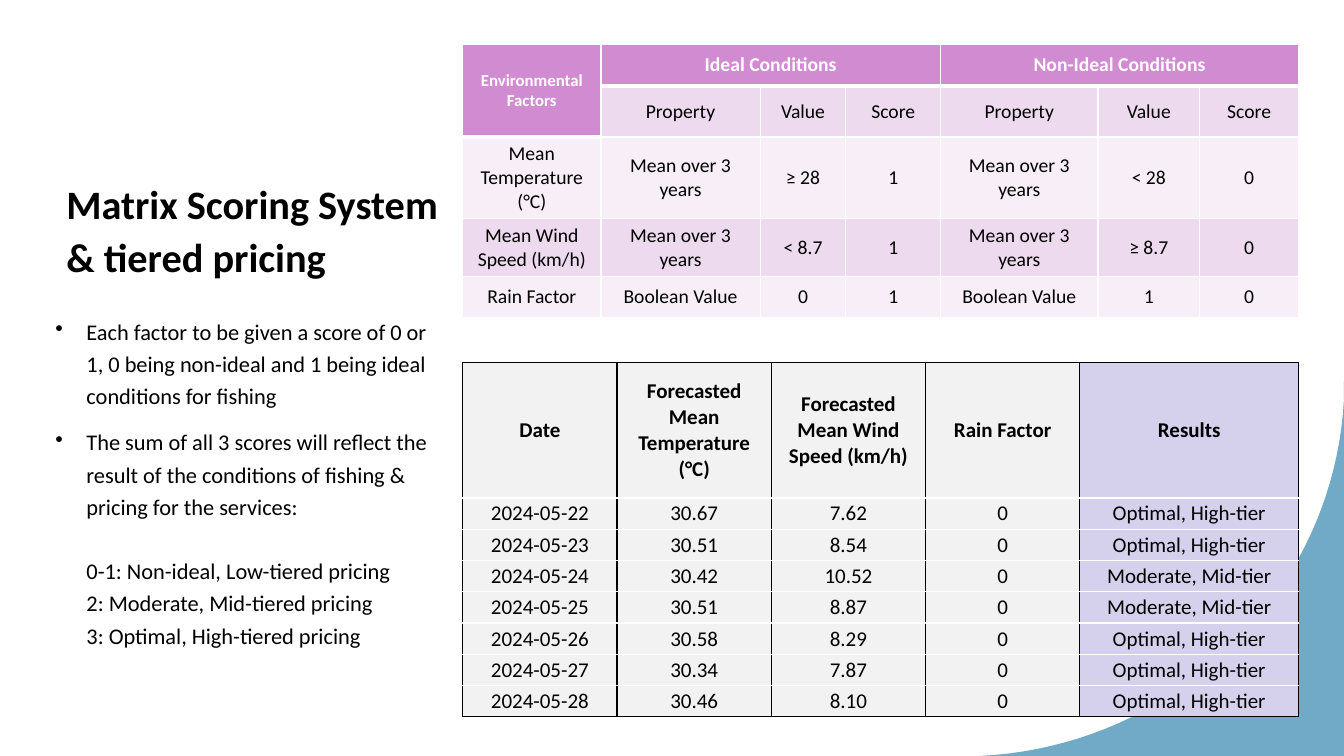
"""Build the matrix scoring and tiered pricing slide."""
import dataclasses
import typing

import pptx
import pptx.dml.color
import pptx.enum.text
import pptx.oxml
import pptx.oxml.ns
import pptx.util

Inches = pptx.util.Inches
Pt = pptx.util.Pt
RGB = pptx.dml.color.RGBColor.from_string
Align = pptx.enum.text.PP_ALIGN
Anchor = pptx.enum.text.MSO_ANCHOR


@dataclasses.dataclass(frozen=True)
class Theme:
    font: str = "Calibri"
    black: str = "000000"
    white: str = "FFFFFF"
    wave: str = "71AAC7"
    orchid: str = "D18BD1"
    band_dark: str = "EEDAEE"
    band_light: str = "F7EEF7"
    grey: str = "F2F2F2"
    lavender: str = "D5D1ED"
    title: float = 28.8
    body: float = 16
    forecast: float = 15
    scoring: float = 14
    corner: float = 12


T = Theme()


class Style(typing.NamedTuple):
    fill: str
    size: float
    color: str = T.black
    bold: bool = False


class Line(typing.NamedTuple):
    text: str
    size: float
    bold: bool = False
    spacing: float = 1.2
    before: float = 0
    indent: float = 0
    bullet: bool = False


@dataclasses.dataclass
class Grid:
    top: float
    cols: list[float]
    rows: list[float]
    texts: list[list[str]]
    style: typing.Callable[[int, int], Style]
    border: str
    margins: tuple[float, float]
    merges: tuple[tuple[int, int, int, int], ...] = ()
    header_rule: float = 1


def set_all(target: typing.Any, values: dict[str, typing.Any]) -> None:
    for name, value in values.items():
        setattr(target, name, value)


def add_run(p: typing.Any, text: str, size: float, color: str, bold: bool) -> None:
    r = p.add_run()
    r.text = text
    set_all(r.font, {"name": T.font, "size": Pt(size), "bold": bold})
    r.font.color.rgb = RGB(color)


def add_text(s: typing.Any, box: tuple[float, ...], anchor: typing.Any, lines: list[Line]) -> None:
    tf = s.shapes.add_textbox(*map(Inches, box)).text_frame
    set_all(tf, {"word_wrap": True, "vertical_anchor": anchor})
    for i, line in enumerate(lines):
        p = tf.add_paragraph() if i else tf.paragraphs[0]
        set_all(p, {"line_spacing": line.spacing, "space_before": Pt(line.before),
                    "alignment": Align.LEFT})
        add_run(p, line.text, line.size, T.black, line.bold)
        pPr = p._p.get_or_add_pPr()
        pPr.set("marL", str(Inches(line.indent)))
        if line.bullet:
            pPr.set("indent", str(-Inches(line.indent)))
            pPr.append(pptx.oxml.parse_xml(
                f'<a:buChar {pptx.oxml.ns.nsdecls("a")} char="•"/>'))


def set_borders(cell: typing.Any, color: str, widths: dict[str, float]) -> None:
    tcPr = cell._tc.get_or_add_tcPr()
    for i, (side, width) in enumerate(widths.items()):
        tcPr.insert(i, pptx.oxml.parse_xml(
            f'<a:ln{side} {pptx.oxml.ns.nsdecls("a")} w="{Pt(width)}"><a:solidFill>'
            f'<a:srgbClr val="{color}"/></a:solidFill></a:ln{side}>'))


def add_grid(s: typing.Any, grid: Grid) -> None:
    box = (4.59, grid.top, sum(grid.cols), sum(grid.rows))
    table = s.shapes.add_table(len(grid.rows), len(grid.cols), *map(Inches, box)).table
    for col, width in zip(table.columns, grid.cols):
        col.width = Inches(width)
    for row, height in zip(table.rows, grid.rows):
        row.height = Inches(height)
    for r0, c0, r1, c1 in grid.merges:
        table.cell(r0, c0).merge(table.cell(r1, c1))
    side, end = map(Inches, grid.margins)
    for i, texts in enumerate(grid.texts):
        for j, text in enumerate(texts):
            cell, style = table.cell(i, j), grid.style(i, j)
            set_all(cell, {"vertical_anchor": Anchor.MIDDLE, "margin_left": side,
                           "margin_right": side, "margin_top": end, "margin_bottom": end})
            cell.fill.solid()
            cell.fill.fore_color.rgb = RGB(style.fill)
            widths = {"L": 1, "R": 1, "T": 1, "B": 1 if i else grid.header_rule}
            if i:
                widths.pop("T")
            set_borders(cell, grid.border, widths)
            if text:
                p = cell.text_frame.paragraphs[0]
                p.alignment = Align.CENTER
                add_run(p, text, style.size, style.color, style.bold)


def add_wave(s: typing.Any) -> None:
    curve = ((9.71, 7.5), (11.67, 7.41), (13.23, 5.87), (13.33, 3.96))
    points = []
    for step in range(41):
        t = step / 40
        weights = ((1 - t) ** 3, 3 * t * (1 - t) ** 2, 3 * t * t * (1 - t), t ** 3)
        points.append(tuple(sum(w * pt[k] for w, pt in zip(weights, curve)) for k in (0, 1)))
    outline = [(13.33, 7.5), (9.63, 7.5), *points]
    fb = s.shapes.build_freeform(Inches(13.33), Inches(3.78))
    fb.add_line_segments([(Inches(x), Inches(y)) for x, y in outline])
    sp = fb.convert_to_shape()
    sp.shadow.inherit = False
    sp.fill.solid()
    sp.fill.fore_color.rgb = RGB(T.wave)
    sp.line.fill.background()


def scoring_style(i: int, j: int) -> Style:
    if i == 0 or (i, j) == (1, 0):
        return Style(T.orchid, T.scoring if j else T.corner, T.white, True)
    return Style(T.band_dark if i % 2 else T.band_light, T.scoring)


def forecast_style(i: int, j: int) -> Style:
    return Style(T.lavender if j == 4 else T.grey, T.forecast, bold=i == 0)


SCORING = Grid(
    0.44, [1.37, 1.58, 0.85, 0.94, 1.56, 1.01, 0.98], [0.41, 0.51, 0.81, 0.57, 0.41],
    [["Environmental Factors", "Ideal Conditions", "", "", "Non-Ideal Conditions", "", ""],
     ["", *["Property", "Value", "Score"] * 2],
     ["Mean Temperature (°C)", "Mean over 3 years", "≥ 28", "1", "Mean over 3 years", "< 28", "0"],
     ["Mean Wind Speed (km/h)", "Mean over 3 years", "< 8.7", "1", "Mean over 3 years", "≥ 8.7", "0"],
     ["Rain Factor", "Boolean Value", "0", "1", "Boolean Value", "1", "0"]],
    scoring_style, T.white, (0.1, 0.05), ((0, 0, 1, 0), (0, 1, 0, 3), (0, 4, 0, 6)), 3)

HIGH, MID = "Optimal, High-tier", "Moderate, Mid-tier"
FORECAST = Grid(
    3.6, [1.53] * 4 + [2.17], [1.34] + [0.31] * 7,
    [["Date", "Forecasted Mean Temperature (°C)", "Forecasted Mean Wind Speed (km/h)",
      "Rain Factor", "Results"],
     ["2024-05-22", "30.67", "7.62", "0", HIGH],
     ["2024-05-23", "30.51", "8.54", "0", HIGH],
     ["2024-05-24", "30.42", "10.52", "0", MID],
     ["2024-05-25", "30.51", "8.87", "0", MID],
     ["2024-05-26", "30.58", "8.29", "0", HIGH],
     ["2024-05-27", "30.34", "7.87", "0", HIGH],
     ["2024-05-28", "30.46", "8.10", "0", HIGH]],
    forecast_style, T.black, (0.06, 0.03))

TITLE = [Line("Matrix Scoring System & tiered pricing", T.title, True, 1.1)]
BODY = [Line(text, T.body, before=before, indent=0.31, bullet=bullet) for text, before, bullet in (
    ("Each factor to be given a score of 0 or 1, 0 being non-ideal and 1 being ideal "
     "conditions for fishing", 10, True),
    ("The sum of all 3 scores will reflect the result of the conditions of fishing & "
     "pricing for the services:", 10, True),
    ("0-1: Non-ideal, Low-tiered pricing", 23, False),
    ("2: Moderate, Mid-tiered pricing", 0, False),
    ("3: Optimal, High-tiered pricing", 0, False))]


def main() -> None:
    prs = pptx.Presentation()
    set_all(prs, {"slide_width": Inches(13.33), "slide_height": Inches(7.5)})
    s = prs.slides.add_slide(prs.slide_layouts[6])
    add_wave(s)
    add_text(s, (0.56, 1.08, 4.03, 1.75), Anchor.BOTTOM, TITLE)
    add_text(s, (0.45, 3.05, 3.94, 4.05), Anchor.TOP, BODY)
    for grid in (FORECAST, SCORING):
        add_grid(s, grid)
    prs.save("out.pptx")


if __name__ == "__main__":
    main()
